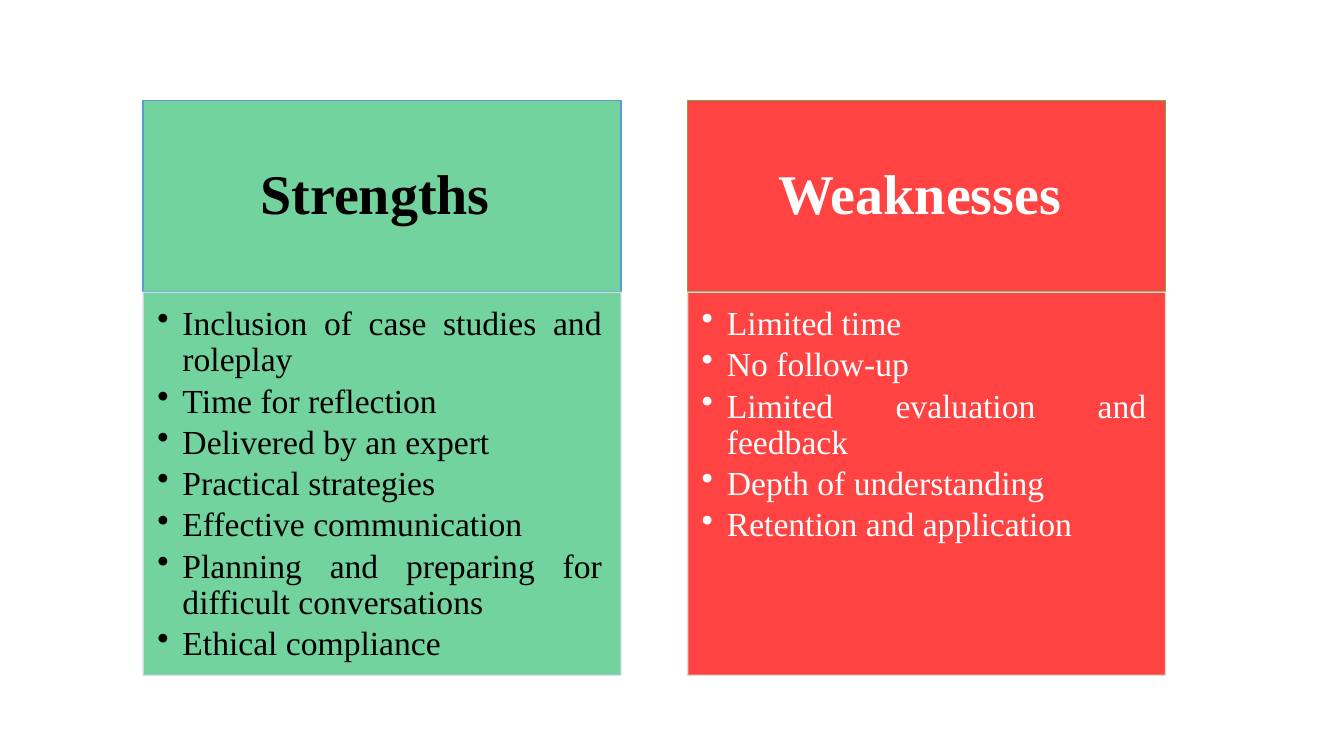
from pptx import Presentation
from pptx.dml.color import RGBColor
from pptx.enum.shapes import MSO_SHAPE as Shape
from pptx.enum.text import MSO_ANCHOR as Anchor, PP_ALIGN as Align
from pptx.oxml.ns import qn
from pptx.util import Inches, Pt
from lxml.etree import SubElement


def color(value):
    return RGBColor.from_string(value)


class SlideBuilder:
    font = "Times New Roman"
    width = 4.74
    line_spacing = 0.9

    def __init__(self, page):
        self.page = page

    def set_alpha(self, fill, percent):
        tint = fill._xPr.find(qn("a:solidFill"))[0]
        SubElement(tint, qn("a:alpha"), val=str(percent * 1000))

    def panel(self, left, top, height, fill, alpha, line, line_alpha=100):
        box = self.page.shapes.add_shape(
            Shape.RECTANGLE, Inches(left), Inches(top), Inches(self.width), Inches(height))
        box.shadow.inherit = False
        box.line.width = Pt(1)
        for paint, tint, percent in ((box.fill, fill, alpha), (box.line.fill, line, line_alpha)):
            paint.solid()
            paint.fore_color.rgb = color(tint)
            self.set_alpha(paint, percent)
        return box

    def add_text(self, box, lines, ink, margins, anchor, size, bold, bullets, para_format):
        frame = box.text_frame
        frame.word_wrap = True
        frame.vertical_anchor = anchor
        for side, margin in zip(("left", "top", "right", "bottom"), margins):
            setattr(frame, f"margin_{side}", Inches(margin))
        for index, line in enumerate(lines):
            para = frame.add_paragraph() if index else frame.paragraphs[0]
            for name, value in {"line_spacing": self.line_spacing, **para_format}.items():
                setattr(para, name, value)
            if bullets:
                self.bullet(para)
            span = para.add_run()
            span.text = line
            for name, value in {"name": self.font, "size": Pt(size), "bold": bold}.items():
                setattr(span.font, name, value)
            span.font.color.rgb = color(ink)

    def bullet(self, para):
        properties = para._p.get_or_add_pPr()
        properties.set("marL", str(Inches(0.25)))
        properties.set("indent", str(Inches(-0.25)))
        SubElement(properties, qn("a:buChar"), char="•")

    def heading(self, left, title, fill, alpha, line, ink):
        box = self.panel(left, 1, 1.89, fill, alpha, line)
        self.add_text(box, [title], ink, (0.31, 0.18, 0.31, 0.18), Anchor.MIDDLE, 40, True, False,
                      {"alignment": Align.CENTER, "space_after": Pt(14)})

    def points(self, left, lines, fill, alpha, line, ink):
        box = self.panel(left, 2.9, 3.8, fill, alpha, line, 90)
        self.add_text(box, lines, ink, (0.14, 0.14, 0.19, 0.21), Anchor.TOP, 24, False, True,
                      {"alignment": Align.JUSTIFY, "level": 1, "space_after": Pt(3.6)})


def main():
    deck = Presentation()
    deck.slide_width, deck.slide_height = Inches(13.33), Inches(7.5)
    builder = SlideBuilder(deck.slides.add_slide(deck.slide_layouts[6]))
    columns = [
        ("Strengths ", "00B050", 55, "5B9BD5", "D2DEEF", "000000", [
            "Inclusion of case studies and roleplay",
            "Time for reflection ",
            "Delivered by an expert ",
            "Practical strategies",
            "Effective communication ",
            "Planning and preparing for difficult conversations ",
            "Ethical compliance ",
        ]),
        ("Weaknesses ", "FF0000", 74, "70AD47", "D5E3CF", "FFFFFF", [
            "Limited time",
            "No follow-up",
            "Limited evaluation and feedback",
            "Depth of understanding ",
            "Retention and application ",
        ]),
    ]
    for index, (title, fill, alpha, head_line, body_line, ink, lines) in enumerate(columns):
        left = 1.42 + index * 5.4
        builder.heading(left, title, fill, alpha, head_line, ink)
        builder.points(left, lines, fill, alpha, body_line, ink)
    deck.save("out.pptx")


if __name__ == "__main__":
    main()
